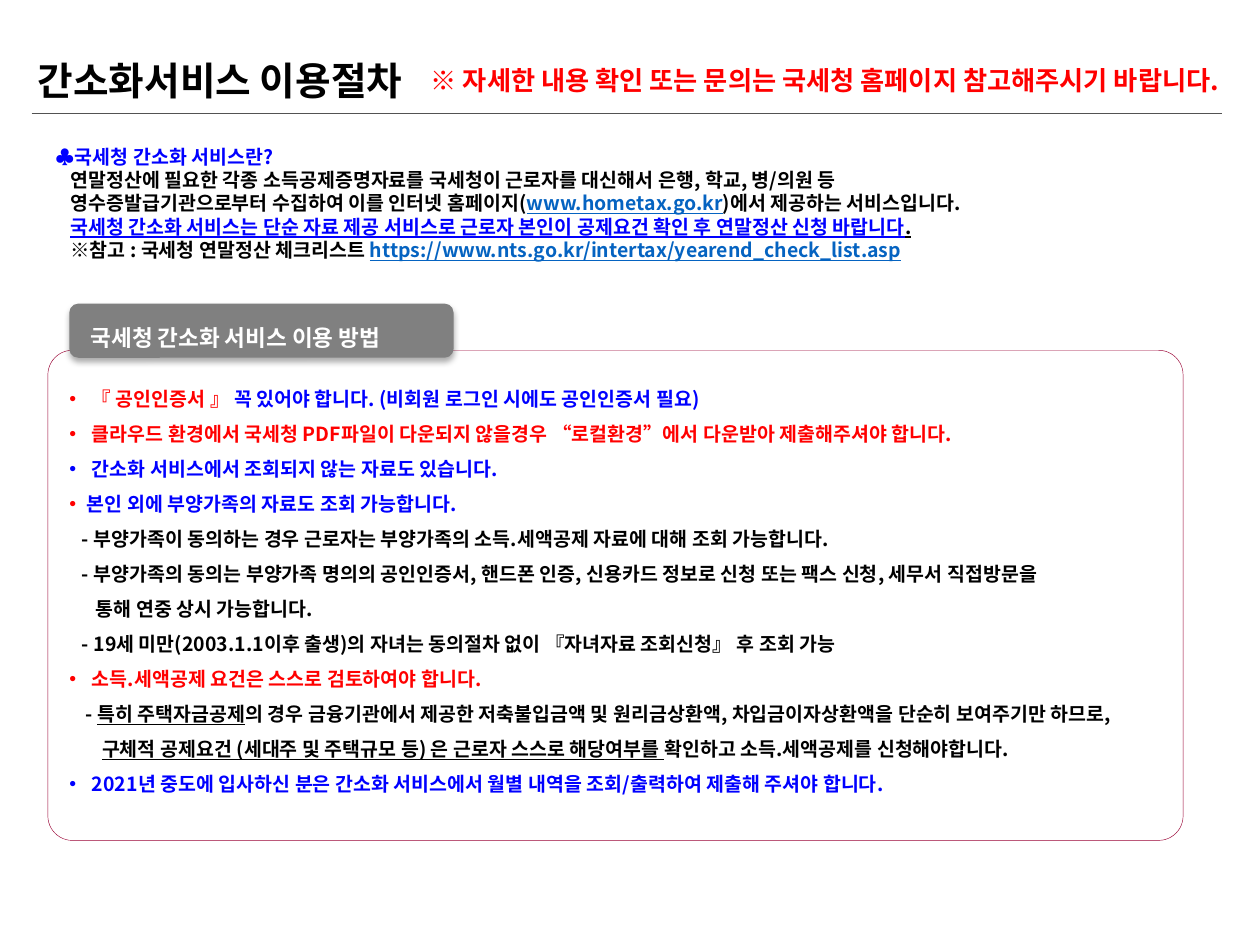
from lxml.etree import SubElement
from pptx import Presentation
from pptx.dml.color import RGBColor
from pptx.enum.shapes import MSO_CONNECTOR as Connector, MSO_SHAPE as Shape
from pptx.enum.text import MSO_ANCHOR as Anchor, MSO_AUTO_SIZE as AutoSize, PP_ALIGN as Align
from pptx.oxml.ns import qn
from pptx.util import Inches, Pt

FONT = "Noto Sans CJK KR"
BLACK, BLUE, RED, LINK, WHITE = "000000", "0000FF", "FF0000", "0563C1", "FFFFFF"
GRAY, RULE, FRAME = "808080", "525252", "990033"
UNDERLINED = True

TITLE = "간소화서비스 이용절차"
NOTICE = "※ 자세한 내용 확인 또는 문의는 국세청 홈페이지 참고해주시기 바랍니다."
METHOD = "국세청 간소화 서비스 이용 방법"

INTRO = [
    (0, [("♣국세청 간소화 서비스란?", BLUE)]),
    (0.12, [("연말정산에 필요한 각종 소득공제증명자료를 국세청이 근로자를 대신해서 은행, 학교, 병/의원 등", BLACK)]),
    (0.12, [("영수증발급기관으로부터 수집하여 이를 인터넷 홈페이지(", BLACK),
            ("www.hometax.go.kr", LINK, UNDERLINED),
            (")에서 제공하는 서비스입니다.", BLACK)]),
    (0.12, [("국세청 간소화 서비스는 단순 자료 제공 서비스로 근로자 본인이 공제요건 확인 후 연말정산 신청 바랍니다",
             BLUE, UNDERLINED),
            (".", BLACK, UNDERLINED)]),
    (0.12, [("※참고 : 국세청 연말정산 체크리스트 ", BLACK),
            ("https://www.nts.go.kr/intertax/yearend_check_list.asp", LINK, UNDERLINED)]),
]

STEPS = [
    (0.18, RED, [("『 공인인증서 』", RED),
                 (" 꼭 있어야 합니다. (비회원 로그인 시에도 공인인증서 필요)", BLUE)]),
    (0.18, RED, [("클라우드 환경에서 국세청 PDF파일이 다운되지 않을경우 “로컬환경”에서 다운받아 제출해주셔야 합니다.", RED)]),
    (0.18, BLUE, [("간소화 서비스에서 조회되지 않는 자료도 있습니다.", BLUE)]),
    (0.14, RED, [("본인 외에 부양가족의 자료도 조회 가능합니다.", BLUE)]),
    (0.1, None, [("- 부양가족이 동의하는 경우 근로자는 부양가족의 소득.세액공제 자료에 대해 조회 가능합니다.", BLACK)]),
    (0.1, None, [("- 부양가족의 동의는 부양가족 명의의 공인인증서, 핸드폰 인증, 신용카드 정보로 신청 또는 팩스 신청, 세무서 직접방문을", BLACK)]),
    (0.21, None, [("통해 연중 상시 가능합니다.", BLACK)]),
    (0.1, None, [("- 19세 미만(2003.1.1이후 출생)의 자녀는 동의절차 없이 『자녀자료 조회신청』 후 조회 가능", BLACK)]),
    (0.18, RED, [("소득.세액공제 요건은 스스로 검토하여야 합니다.", RED)]),
    (0.13, None, [("- ", BLACK),
                  ("특히 주택자금공제", BLACK, UNDERLINED),
                  ("의 경우 금융기관에서 제공한 저축불입금액 및 원리금상환액, 차입금이자상환액을 단순히 보여주기만 하므로,", BLACK)]),
    (0.26, None, [("구체적 공제요건 (세대주 및 주택규모 등) 은 근로자 스스로 해당여부를 ", BLACK, UNDERLINED),
                  ("확인하고 소득.세액공제를 신청해야합니다.", BLACK)]),
    (0.18, BLUE, [("2021년 중도에 입사하신 분은 간소화 서비스에서 월별 내역을 조회/출력하여 제출해 주셔야 합니다.", BLUE)]),
]


def color(value):
    return RGBColor.from_string(value)


def prepare(shape, insets, anchor=Anchor.TOP):
    frame = shape.text_frame
    frame.word_wrap = True
    frame.auto_size = AutoSize.NONE
    frame.vertical_anchor = anchor
    (frame.margin_left, frame.margin_top,
     frame.margin_right, frame.margin_bottom) = map(Inches, insets)
    return frame


def place(shape, left, top, width, height):
    shape.left, shape.top, shape.width, shape.height = map(Inches, (left, top, width, height))
    return shape


def add_paragraph(frame, index, runs, size, spacing=1.0):
    paragraph = frame.add_paragraph() if index else frame.paragraphs[0]
    paragraph.alignment = Align.LEFT
    paragraph.line_spacing = spacing
    paragraph.space_before = paragraph.space_after = Pt(0)
    for text, fill, *underline in runs:
        run = paragraph.add_run()
        run.text = text
        font = run.font
        font.name, font.size, font.bold = FONT, Pt(size), True
        font.color.rgb = color(fill)
        font.underline = bool(underline)
        SubElement(font._element, qn("a:ea"), typeface=FONT)
    return paragraph.get_or_add_pPr() if hasattr(paragraph, "get_or_add_pPr") else paragraph._p.get_or_add_pPr()


def set_bullet(properties, margin, bullet):
    properties.set("marL", str(Inches(margin)))
    properties.set("indent", str(Inches(-margin if bullet else 0)))
    if bullet:
        bullet_color = SubElement(properties, qn("a:buClr"))
        SubElement(bullet_color, qn("a:srgbClr"), val=bullet)
        SubElement(properties, qn("a:buFont"), typeface="Arial")
        SubElement(properties, qn("a:buChar"), char="•")
    else:
        SubElement(properties, qn("a:buNone"))


def add_shadow(shape):
    effects = shape._element.spPr.find(qn("a:effectLst"))
    shadow = SubElement(effects, qn("a:outerShdw"), blurRad=str(Pt(3.5)), dist=str(Pt(2.2)),
                        dir="5400000", algn="t", rotWithShape="0")
    shade = SubElement(shadow, qn("a:srgbClr"), val=BLACK)
    SubElement(shade, qn("a:alpha"), val="32000")


def main():
    presentation = Presentation()
    presentation.slide_width, presentation.slide_height = Inches(10), Inches(7.5)
    slide = presentation.slides.add_slide(presentation.slide_layouts[1])
    shapes = slide.shapes

    title = place(shapes.title, 0.2, 0.4, 3.2, 0.47)
    add_paragraph(prepare(title, (0.1, 0.05, 0, 0.05), Anchor.MIDDLE), 0, [(TITLE, BLACK)], 22.1)

    notice = shapes.add_textbox(*map(Inches, (3.32, 0.46, 6.75, 0.35)))
    add_paragraph(prepare(notice, (0.1, 0.05, 0, 0.05), Anchor.MIDDLE), 0, [(NOTICE, RED)], 15)

    rule = shapes.add_connector(Connector.STRAIGHT, *map(Inches, (0.25, 0.9, 9.7, 0.9)))
    rule.line.color.rgb, rule.line.width = color(RULE), Pt(1)
    SubElement(rule._element.spPr, qn("a:effectLst"))

    intro = shapes.add_textbox(*map(Inches, (0.34, 0.99, 7.42, 1.3)))
    frame = prepare(intro, (0.1, 0.16, 0.1, 0))
    for index, (indent, runs) in enumerate(INTRO):
        properties = add_paragraph(frame, index, runs, 11.1, Pt(13.3))
        properties.set("indent", str(Inches(indent)))

    panel = shapes.add_shape(Shape.ROUNDED_RECTANGLE, *map(Inches, (0.38, 2.78, 9.01, 3.89)))
    panel.adjustments[0] = 0.05
    panel.shadow.inherit = False
    panel.fill.background()
    panel.line.color.rgb, panel.line.width = color(FRAME), Pt(0.25)

    steps = place(slide.placeholders[1], 0.38, 2.78, 9.01, 3.89)
    frame = prepare(steps, (0.17, 0.2, 0.05, 0.07))
    for index, (margin, bullet, runs) in enumerate(STEPS):
        set_bullet(add_paragraph(frame, index, runs, 11.1, Pt(20)), margin, bullet)

    header = shapes.add_shape(Shape.ROUNDED_RECTANGLE, *map(Inches, (0.55, 2.41, 3.05, 0.43)))
    header.shadow.inherit = False
    header.fill.solid()
    header.fill.fore_color.rgb = color(GRAY)
    header.line.fill.background()
    add_shadow(header)
    add_paragraph(prepare(header, (0.15, 0.15, 0.1, 0.05), Anchor.MIDDLE), 0, [(METHOD, WHITE)], 12.9)

    presentation.save("out.pptx")


if __name__ == "__main__":
    main()
